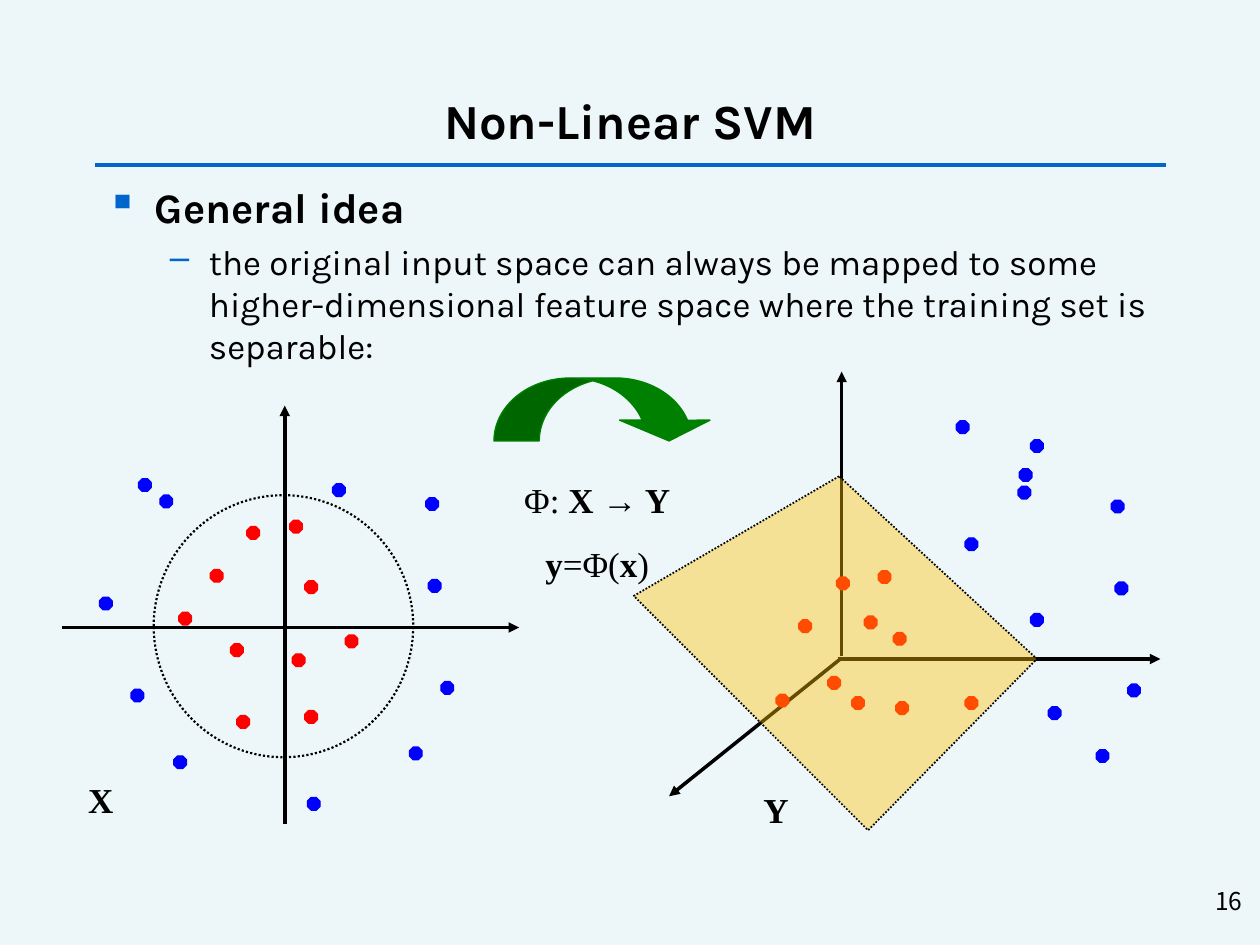
from lxml import etree
from pptx import Presentation
from pptx.dml.color import RGBColor
from pptx.enum.dml import MSO_LINE
from pptx.enum.shapes import MSO_CONNECTOR, MSO_SHAPE
from pptx.enum.text import MSO_ANCHOR, PP_ALIGN
from pptx.oxml.ns import qn
from pptx.util import Inches, Pt

STRAIGHT = MSO_CONNECTOR.STRAIGHT
OCTAGON, OVAL, CURVED_ARROW = MSO_SHAPE.OCTAGON, MSO_SHAPE.OVAL, MSO_SHAPE.CURVED_DOWN_ARROW
DOTTED = MSO_LINE.ROUND_DOT
MIDDLE, TOP = MSO_ANCHOR.MIDDLE, MSO_ANCHOR.TOP
LEFT, CENTER, RIGHT = PP_ALIGN.LEFT, PP_ALIGN.CENTER, PP_ALIGN.RIGHT

BLACK, ACCENT, RED, BLUE, GREEN = "000000", "0066CC", "FF0000", "0000FF", "008000"
BACKGROUND, PLANE = "EDF7F9", "FFC000"
SANS, SERIF, NUMBER_FONT = "Karla", "Times New Roman", "Noto Sans CJK KR"
DOT_SIZE = 0.1

INPUT_RED = [(1.9, 0.93), (1.27, 1.32), (1.43, 1.91), (2.02, 2.44), (1.56, 0.98),
             (1.02, 1.66), (1.48, 2.48), (2.02, 1.41), (2.34, 1.84), (1.92, 1.99)]
INPUT_BLUE = [(3, 1.4), (2.85, 2.73), (0.39, 1.54), (2.04, 3.13), (3.1, 2.21), (0.98, 2.8),
              (0.64, 2.27), (0.7, 0.6), (2.24, 0.64), (0.87, 0.73), (2.98, 0.75)]
INPUT_AXES = [((1.86, 3.34), (1.86, 0.02)), ((0.09, 1.78), (3.72, 1.78))]
FEATURE_RED = [(1.97, 1.63), (1.34, 2.02), (1.76, 2.63), (2.66, 2.63), (1.64, 1.68),
               (1.86, 1.99), (2.11, 2.67), (2.09, 2.12), (1.57, 2.47), (1.16, 2.61)]
FEATURE_BLUE = [(3.85, 1.72), (3.7, 3.05), (3.18, 0.59), (3.18, 1.97), (3.95, 2.53), (2.66, 1.37),
                (3.32, 2.71), (3.09, 0.82), (3.08, 0.96), (2.59, 0.44), (3.82, 1.07)]
FEATURE_AXES = [((1.68, 2.31), (1.68, 0.05)), ((1.65, 2.33), (4.21, 2.33)),
                ((1.67, 2.33), (0.31, 3.42))]
PLANE_CORNERS = [(1.66, 0.88), (0.03, 1.83), (1.89, 3.69), (3.23, 2.33)]


def color(hex_value):
    """Turn a hex string into a colour."""
    return RGBColor.from_string(hex_value)


def style_shape(shape, fill, line, width, dash=None):
    """Set fill and outline and drop the shadow."""
    shape.shadow.inherit = False
    if fill:
        shape.fill.solid()
        shape.fill.fore_color.rgb = color(fill)
    else:
        shape.fill.background()
    shape.line.color.rgb = color(line)
    shape.line.width = Pt(width)
    if dash:
        shape.line.dash_style = dash


def add_line(slide, start, end, line, width, arrow=False):
    """Draw a straight line, with an arrowhead at its end if asked."""
    connector = slide.shapes.add_connector(STRAIGHT, *map(Inches, start + end))
    connector.line.color.rgb = color(line)
    connector.line.width = Pt(width)
    if arrow:
        etree.SubElement(connector.line._get_or_add_ln(), qn("a:tailEnd"), type="triangle")
    etree.SubElement(connector._element.spPr, qn("a:effectLst"))


def add_frame(slide, box, anchor=TOP):
    """Add a wrapping text box and return its text frame."""
    frame = slide.shapes.add_textbox(*map(Inches, box)).text_frame
    frame.word_wrap = True
    frame.vertical_anchor = anchor
    return frame


def add_run(paragraph, text, size, font, bold=False):
    """Add one black run."""
    run = paragraph.add_run()
    run.text = text
    run.font.size = Pt(size)
    run.font.name = font
    run.font.bold = bold
    run.font.color.rgb = color(BLACK)


def add_label(slide, box, text, size, font, bold=True, align=CENTER, anchor=TOP):
    """Write a label of one run."""
    paragraph = add_frame(slide, box, anchor).paragraphs[0]
    paragraph.alignment = align
    add_run(paragraph, text, size, font, bold)


def set_bullet(paragraph, mark, margin, hanging):
    """Give a paragraph a coloured bullet and a hanging indent."""
    properties = paragraph._p.get_or_add_pPr()
    properties.set("marL", str(Inches(margin)))
    properties.set("indent", str(-Inches(hanging)))
    bullet_color = etree.SubElement(properties, qn("a:buClr"))
    etree.SubElement(bullet_color, qn("a:srgbClr"), val=ACCENT)
    etree.SubElement(properties, qn("a:buChar"), char=mark)


def add_heading(slide, left, top, width, height):
    """Place the title and the rule under it."""
    add_label(slide, (left, top, width, height), "Non-Linear SVM", 28, SANS, anchor=MIDDLE)
    rule_top = top + height + 0.08
    add_line(slide, (left, rule_top), (left + width, rule_top), ACCENT, 2.25)


def add_idea(slide, box):
    """Write the main point and its explanation."""
    frame = add_frame(slide, box)
    point = frame.paragraphs[0]
    set_bullet(point, "▪", 0.38, 0.38)
    add_run(point, "General idea", 24, SANS, True)
    explanation = frame.add_paragraph()
    explanation.level = 1
    set_bullet(explanation, "–", 0.81, 0.31)
    explanation.space_before = Pt(5)
    add_run(explanation, "the original input space can always be mapped to some "
            "higher-dimensional feature space where the training set is separable:", 20, SANS)


def add_space(slide, left, top, axes, red_dots, blue_dots):
    """Draw the axes and the two classes of dots."""
    for (x1, y1), (x2, y2) in axes:
        add_line(slide, (left + x1, top + y1), (left + x2, top + y2), BLACK, 2, True)
    for dots, fill in ((red_dots, RED), (blue_dots, BLUE)):
        for x, y in dots:
            dot = slide.shapes.add_shape(OCTAGON, Inches(left + x), Inches(top + y),
                                         Inches(DOT_SIZE), Inches(DOT_SIZE))
            style_shape(dot, fill, fill, 0.75)


def add_input_space(slide, left, top):
    """Draw the plane with its circular boundary."""
    add_space(slide, left, top, INPUT_AXES, INPUT_RED, INPUT_BLUE)
    boundary = slide.shapes.add_shape(OVAL, Inches(left + 0.82), Inches(top + 0.73),
                                      Inches(2.06), Inches(2.08))
    style_shape(boundary, None, BLACK, 1.25, DOTTED)
    add_label(slide, (left + 0.08, top + 2.93, 0.64, 0.44), "X", 20, SERIF)


def add_feature_space(slide, left, top):
    """Draw the space of three axes with its separating plane."""
    add_space(slide, left, top, FEATURE_AXES, FEATURE_RED, FEATURE_BLUE)
    add_label(slide, (left + 0.84, top + 3.31, 0.64, 0.44), "Y", 20, SERIF)
    corners = [(Inches(left + x), Inches(top + y)) for x, y in PLANE_CORNERS]
    builder = slide.shapes.build_freeform(*corners[0])
    builder.add_line_segments(corners[1:], close=True)
    plane = builder.convert_to_shape()
    style_shape(plane, PLANE, BLACK, 1, DOTTED)
    fill_color = plane._element.spPr.find(qn("a:solidFill")).find(qn("a:srgbClr"))
    etree.SubElement(fill_color, qn("a:alpha"), val="40000")


def add_mapping(slide, left, top):
    """Draw the curved arrow and the mapping formulas under it."""
    arrow = slide.shapes.add_shape(CURVED_ARROW, Inches(left), Inches(top),
                                   Inches(1.75), Inches(0.5))
    for index, ratio in enumerate((0.72, 1.44, 0.33)):
        arrow.adjustments[index] = ratio
    style_shape(arrow, GREEN, GREEN, 0.75)
    frame = add_frame(slide, (left, top + 0.75, 1.64, 0.99))
    domains = frame.paragraphs[0]
    formula = frame.add_paragraph()
    formula.space_before = Pt(12.5)
    for paragraph, parts in (
        (domains, [("Φ: ", False), ("X → Y", True)]),
        (formula, [("y", True), ("=Φ(", False), ("x", True), (")", False)]),
    ):
        paragraph.alignment = CENTER
        for text, bold in parts:
            add_run(paragraph, text, 20, SERIF, bold)


def main():
    """Build the slide and save it."""
    deck = Presentation()
    deck.slide_width, deck.slide_height = Inches(10), Inches(7.5)
    slide = deck.slides.add_slide(deck.slide_layouts[6])
    slide.background.fill.solid()
    slide.background.fill.fore_color.rgb = color(BACKGROUND)
    add_heading(slide, 0.75, 0.67, 8.5, 0.56)
    add_idea(slide, (0.75, 1.39, 8.5, 5.28))
    add_input_space(slide, 0.4, 3.2)
    add_mapping(slide, 3.92, 3)
    add_feature_space(slide, 5, 2.9)
    add_label(slide, (7.88, 6.98, 2.08, 0.5), "16", 14, NUMBER_FONT, False, RIGHT)
    deck.save("out.pptx")


if __name__ == "__main__":
    main()
